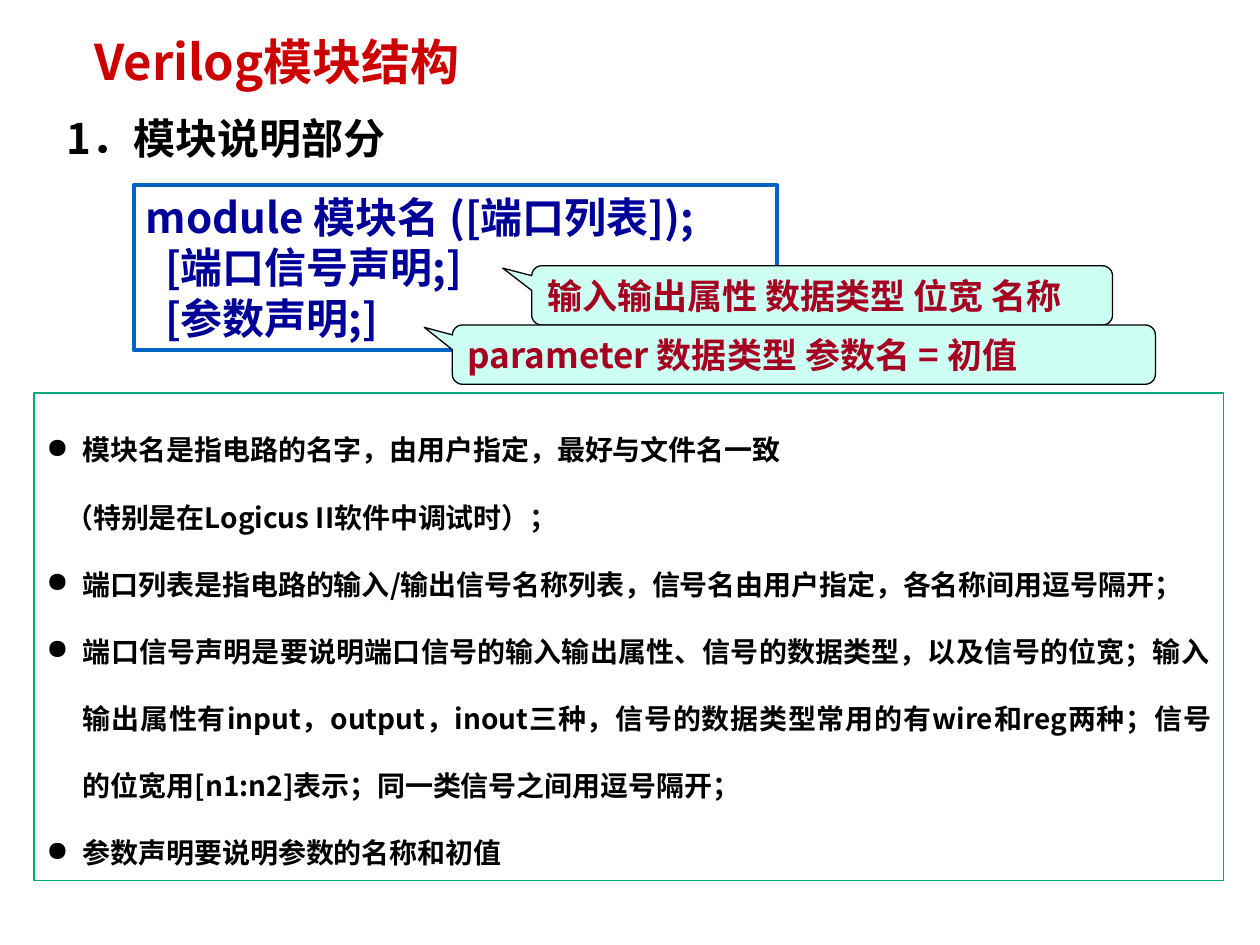
from dataclasses import dataclass
from lxml import etree
from pptx import Presentation
from pptx import util as u
from pptx.dml.color import RGBColor
from pptx.enum import shapes, text
from pptx.oxml import ns


@dataclass(frozen=True)
class Theme:
    font: str = "Noto Sans CJK SC"
    title: str = "CC0000"
    body: str = "000000"
    code: str = "000099"
    code_line: str = "0563C1"
    bullet_line: str = "00A87C"
    callout: str = "A50021"
    callout_fill: str = "CDFFF2"
    callout_line: str = "000000"
    title_size: int = 28
    heading_size: int = 24
    callout_size: int = 20
    bullet_size: int = 16


THEME = Theme()
COLUMNS, ROWS = 100, 75
WIDTH, HEIGHT = u.Inches(10), u.Inches(7.5)
HANG = u.Inches(0.29)
CONTINUED = u.Inches(0.15)

CODE = ["module 模块名 ([端口列表]);", "  [端口信号声明;]", "  [参数声明;]"]
BULLETS = [
    (True, "模块名是指电路的名字，由用户指定，最好与文件名一致"),
    (False, "（特别是在Logicus II软件中调试时）；"),
    (True, "端口列表是指电路的输入/输出信号名称列表，信号名由用户指定，各名称间用逗号隔开；"),
    (True, "端口信号声明是要说明端口信号的输入输出属性、信号的数据类型，以及信号的位宽；"
           "输入输出属性有input，output，inout三种，信号的数据类型常用的有wire和reg两种；"
           "信号的位宽用[n1:n2]表示；同一类信号之间用逗号隔开；"),
    (True, "参数声明要说明参数的名称和初值"),
]
CALLOUTS = [
    ((42.2, 21.1, 46.1, 4.7), (-0.55, -0.46, 0.17), "输入输出属性 数据类型 位宽 名称"),
    ((35.9, 25.8, 55.8, 4.7), (-0.54, -0.46, 0.17), "parameter 数据类型 参数名 = 初值"),
]


def grid(column, row, columns, rows):
    return (int(WIDTH * column / COLUMNS), int(HEIGHT * row / ROWS),
            int(WIDTH * columns / COLUMNS), int(HEIGHT * rows / ROWS))


def add_run(paragraph, words, size, color):
    run = paragraph.add_run()
    run.text = words
    run.font.name = THEME.font
    run.font.size = u.Pt(size)
    run.font.bold = True
    run.font.color.rgb = RGBColor.from_string(color)
    east_asian = etree.SubElement(run.font._element, ns.qn("a:ea"))
    east_asian.set("typeface", THEME.font)


def write_lines(shape, lines, size, color, anchor=text.MSO_ANCHOR.TOP):
    frame = shape.text_frame
    frame.word_wrap = True
    frame.vertical_anchor = anchor
    for index, words in enumerate(lines):
        paragraph = frame.add_paragraph() if index else frame.paragraphs[0]
        paragraph.alignment = text.PP_ALIGN.LEFT
        add_run(paragraph, words, size, color)
    return frame.paragraphs


def add_panel(slide, kind, box, line, width, fill=None):
    shape = slide.shapes.add_shape(kind, *grid(*box))
    shape.shadow.inherit = False
    if fill:
        shape.fill.solid()
        shape.fill.fore_color.rgb = RGBColor.from_string(fill)
    else:
        shape.fill.background()
    shape.line.color.rgb = RGBColor.from_string(line)
    shape.line.width = u.Pt(width)
    return shape


def place_title(slide, box, words):
    title = slide.shapes.title
    title.left, title.top, title.width, title.height = grid(*box)
    write_lines(title, [words], THEME.title_size, THEME.title, text.MSO_ANCHOR.BOTTOM)


def place_heading(slide, box, words):
    heading = slide.shapes.add_textbox(*grid(*box))
    write_lines(heading, [words], THEME.heading_size, THEME.body)


def place_code(slide, box, lines):
    panel = add_panel(slide, shapes.MSO_SHAPE.RECTANGLE, box, THEME.code_line, 2.25)
    write_lines(panel, lines, THEME.heading_size, THEME.code)


def place_bullets(slide, box, bullets):
    panel = add_panel(slide, shapes.MSO_SHAPE.RECTANGLE, box, THEME.bullet_line, 0.75)
    paragraphs = write_lines(panel, [words for _, words in bullets],
                             THEME.bullet_size, THEME.body)
    for paragraph, (bulleted, _) in zip(paragraphs, bullets):
        paragraph.alignment = text.PP_ALIGN.JUSTIFY
        paragraph.line_spacing = 2.0
        properties = paragraph._p.get_or_add_pPr()
        properties.set("marL", str(HANG if bulleted else CONTINUED))
        if bulleted:
            properties.set("indent", str(-HANG))
            etree.SubElement(properties, ns.qn("a:buChar")).set("char", "●")


def place_callout(slide, box, adjustments, words):
    callout = add_panel(slide, shapes.MSO_SHAPE.ROUNDED_RECTANGULAR_CALLOUT, box,
                        THEME.callout_line, 0.75, THEME.callout_fill)
    for index, value in enumerate(adjustments):
        callout.adjustments[index] = value
    write_lines(callout, [words], THEME.callout_size, THEME.callout,
                text.MSO_ANCHOR.MIDDLE)


def main():
    presentation = Presentation()
    presentation.slide_width, presentation.slide_height = WIDTH, HEIGHT
    slide = presentation.slides.add_slide(presentation.slide_layouts[5])
    place_title(slide, (6.5, 0.1, 85.2, 7.6), "Verilog模块结构")
    place_heading(slide, (4.3, 8.4, 35.4, 5), "1．模块说明部分")
    place_code(slide, (10.6, 14.7, 51.1, 13.1), CODE)
    place_bullets(slide, (2.7, 31.2, 94.4, 38.7), BULLETS)
    for box, adjustments, words in CALLOUTS:
        place_callout(slide, box, adjustments, words)
    presentation.save("out.pptx")


if __name__ == "__main__":
    main()
